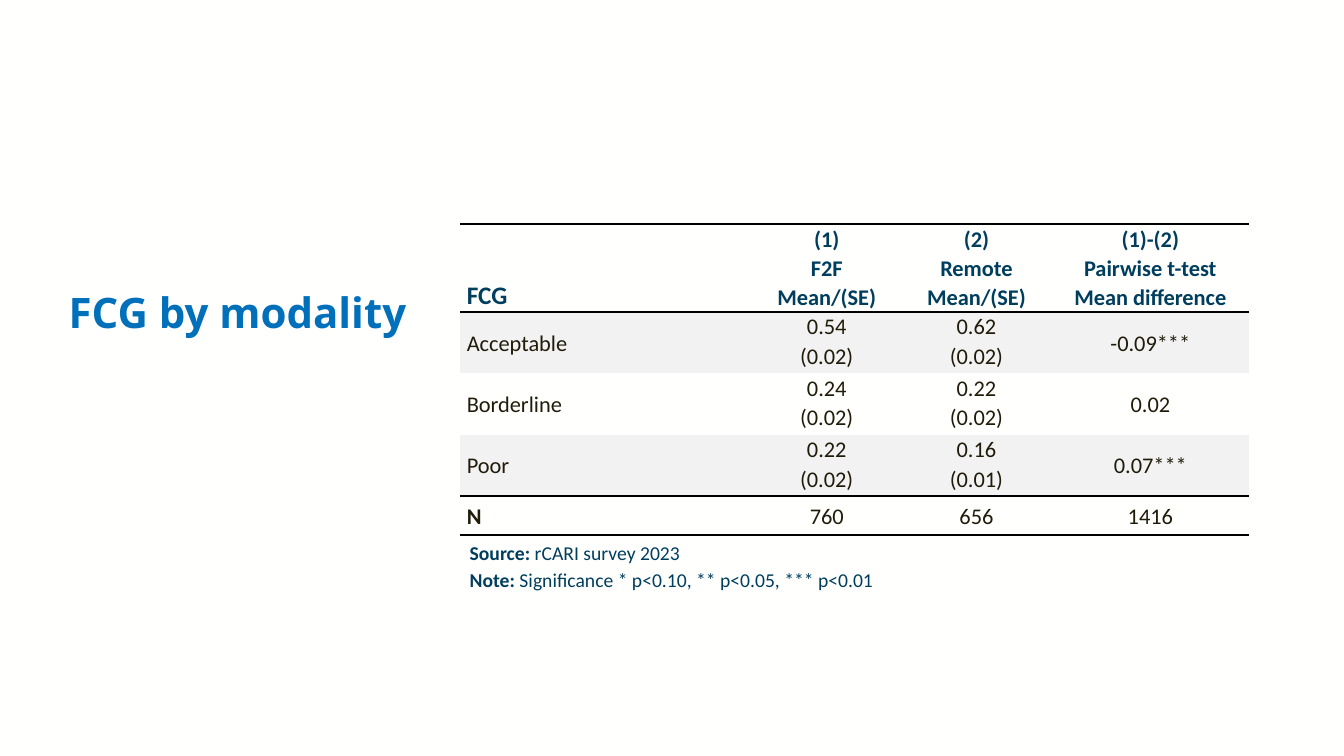
"""Build the slide comparing food consumption groups by survey modality."""
from dataclasses import dataclass

from lxml import etree
from pptx import Presentation
from pptx import util as u
from pptx.dml.color import RGBColor
from pptx.enum import text
from pptx.oxml.ns import qn

NAVY, BLUE, INK, BAND, BLACK = "003E5E", "0070BA", "211B09", "F2F2F2", "000000"
LEFT, CENTER, JUSTIFY = text.PP_ALIGN.LEFT, text.PP_ALIGN.CENTER, text.PP_ALIGN.JUSTIFY
TOP, MIDDLE, BOTTOM = text.MSO_ANCHOR.TOP, text.MSO_ANCHOR.MIDDLE, text.MSO_ANCHOR.BOTTOM
COL_WIDTHS = (2.9, 1.48, 1.49, 1.96)
LABEL = {"name": "Calibri", "size": u.Pt(18)}
FIGURE = {"name": "Calibri", "size": u.Pt(16)}
NOTE = {"name": "Calibri", "size": u.Pt(14)}


@dataclass
class Row:
    cells: tuple[str, ...]
    height: float
    color: str = INK
    fill: str | None = None
    top: bool = False
    bottom: bool = False
    bold: tuple[bool, ...] = (False,) * 4


ROWS = (
    Row(("FCG", "(1)\nF2F\nMean/(SE)", "(2)\nRemote\nMean/(SE)",
         "(1)-(2)\nPairwise t-test\nMean difference"),
        0.83, NAVY, top=True, bottom=True, bold=(True,) * 4),
    Row(("Acceptable", "0.54\n(0.02)", "0.62\n(0.02)", "-0.09***"), 0.61, fill=BAND, top=True),
    Row(("Borderline", "0.24\n(0.02)", "0.22\n(0.02)", "0.02"), 0.61),
    Row(("Poor", "0.22\n(0.02)", "0.16\n(0.01)", "0.07***"), 0.61, fill=BAND, bottom=True),
    Row(("N", "760", "656", "1416"), 0.39, top=True, bottom=True,
        bold=(True, False, False, False)),
)
NOTES = (
    ("Source:", " rCARI survey 2023"),
    ("Note:", " Significance * p<0.10, ** p<0.05, *** p<0.01"),
)


def rgb(color: str) -> RGBColor:
    """Turn a hex string into a colour."""
    return RGBColor.from_string(color)


def set_attrs(obj, values: dict) -> None:
    """Set every attribute named in a dict of format values."""
    for name, value in values.items():
        setattr(obj, name, value)


def add_run(p, words: str, color: str, bold: bool, fmt: dict) -> None:
    """Add one formatted run to a paragraph."""
    r = p.add_run()
    r.text = words
    set_attrs(r.font, fmt | {"bold": bold})
    r.font.color.rgb = rgb(color)


def add_border(cell, side: str, shown: bool) -> None:
    """Draw or hide one edge of a table cell."""
    ln = etree.SubElement(cell._tc.get_or_add_tcPr(), qn(f"a:ln{side}"))
    if shown:
        ln.set("w", str(u.Pt(1.5)))
        fill = etree.SubElement(ln, qn("a:solidFill"))
        etree.SubElement(fill, qn("a:srgbClr"), val=BLACK)
    else:
        ln.set("w", "0")
        etree.SubElement(ln, qn("a:noFill"))


def fill_cell(cell, row: Row, col: int) -> None:
    """Write and format one table cell."""
    lines = row.cells[col].split("\n")
    anchor = TOP if len(lines) > 1 else BOTTOM if row.color == NAVY else MIDDLE
    set_attrs(cell, {"margin_left": u.Inches(0.07), "margin_right": u.Inches(0.07),
                     "margin_top": 0, "margin_bottom": 0, "vertical_anchor": anchor})
    for side, shown in zip("LRTB", (False, False, row.top, row.bottom)):
        add_border(cell, side, shown)
    if row.fill:
        cell.fill.solid()
        cell.fill.fore_color.rgb = rgb(row.fill)
    else:
        cell.fill.background()
    fmt = LABEL if row.cells[col] == "FCG" else FIGURE
    tf = cell.text_frame
    for i, line in enumerate(lines):
        p = tf.add_paragraph() if i else tf.paragraphs[0]
        set_attrs(p, {"alignment": CENTER if col else LEFT, "line_spacing": 1.07})
        add_run(p, line, row.color, row.bold[col], fmt)


def add_results(s) -> None:
    """Add the table of means by modality."""
    height = sum(row.height for row in ROWS)
    table = s.shapes.add_table(
        len(ROWS), len(COL_WIDTHS), u.Inches(4.56), u.Inches(2.22),
        u.Inches(sum(COL_WIDTHS)), u.Inches(height)).table
    set_attrs(table, {"first_row": False, "horz_banding": False})
    for column, width in zip(table.columns, COL_WIDTHS):
        column.width = u.Inches(width)
    for i, row in enumerate(ROWS):
        table.rows[i].height = u.Inches(row.height)
        for col in range(len(COL_WIDTHS)):
            fill_cell(table.cell(i, col), row, col)


def add_title(s) -> None:
    """Place and format the slide title."""
    sp = s.shapes.title
    set_attrs(sp, {"left": u.Inches(0.58), "top": u.Inches(2.49),
                   "width": u.Inches(3.81), "height": u.Inches(1.26)})
    tf = sp.text_frame
    set_attrs(tf, {"word_wrap": True, "vertical_anchor": MIDDLE})
    p = tf.paragraphs[0]
    set_attrs(p, {"alignment": LEFT, "line_spacing": 0.9})
    add_run(p, "FCG by modality", BLUE, True, {"name": "Open Sans", "size": u.Pt(30)})


def add_notes(s) -> None:
    """Add the source and significance lines under the table."""
    sp = s.shapes.add_textbox(u.Inches(4.56), u.Inches(5.28), u.Inches(6.67), u.Inches(0.63))
    tf = sp.text_frame
    set_attrs(tf, {"word_wrap": True, "auto_size": text.MSO_AUTO_SIZE.SHAPE_TO_FIT_TEXT})
    for i, (label, words) in enumerate(NOTES):
        p = tf.add_paragraph() if i else tf.paragraphs[0]
        set_attrs(p, {"alignment": JUSTIFY, "line_spacing": 1.15})
        add_run(p, label, NAVY, True, NOTE)
        add_run(p, words, NAVY, False, NOTE)


def main() -> None:
    """Create and save the presentation."""
    prs = Presentation()
    set_attrs(prs, {"slide_width": u.Inches(13.33), "slide_height": u.Inches(7.5)})
    s = prs.slides.add_slide(prs.slide_layouts[5])
    s.background.fill.solid()
    s.background.fill.fore_color.rgb = rgb("FFFFFE")
    add_results(s)
    add_title(s)
    add_notes(s)
    prs.save("out.pptx")


if __name__ == "__main__":
    main()
